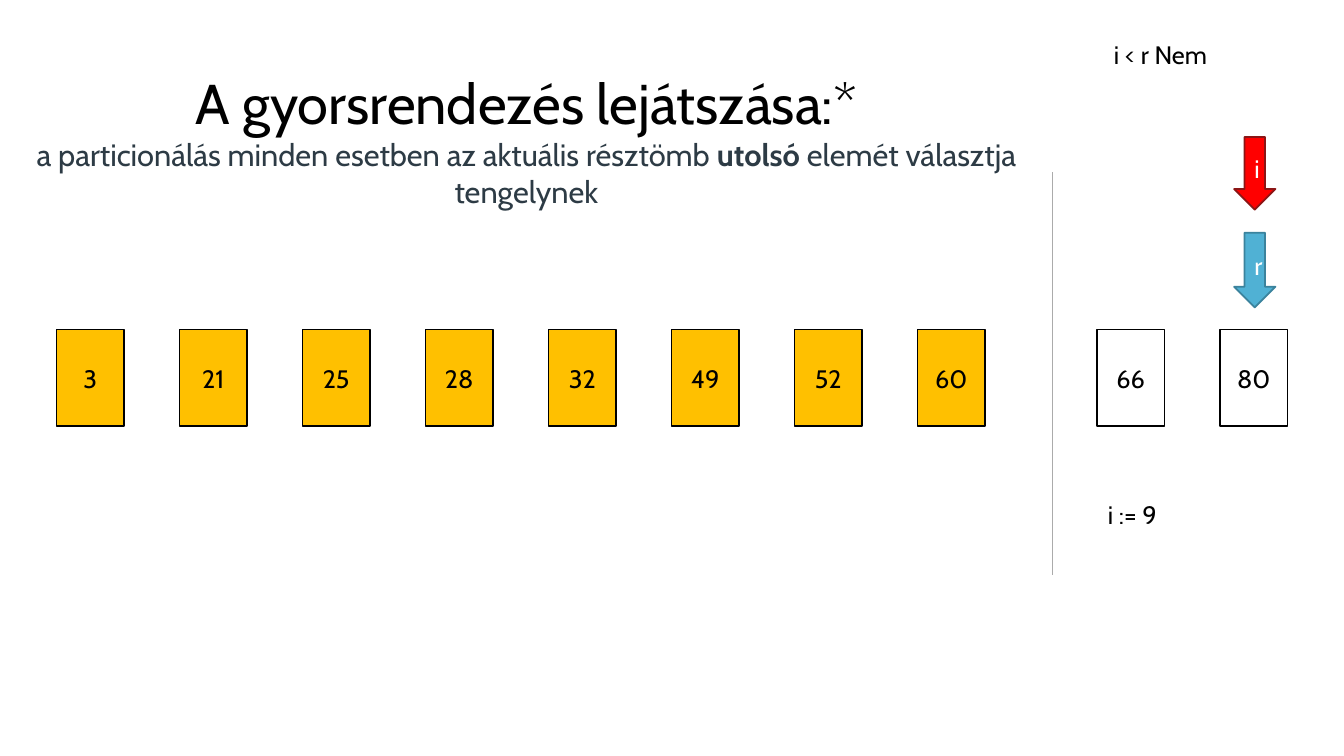
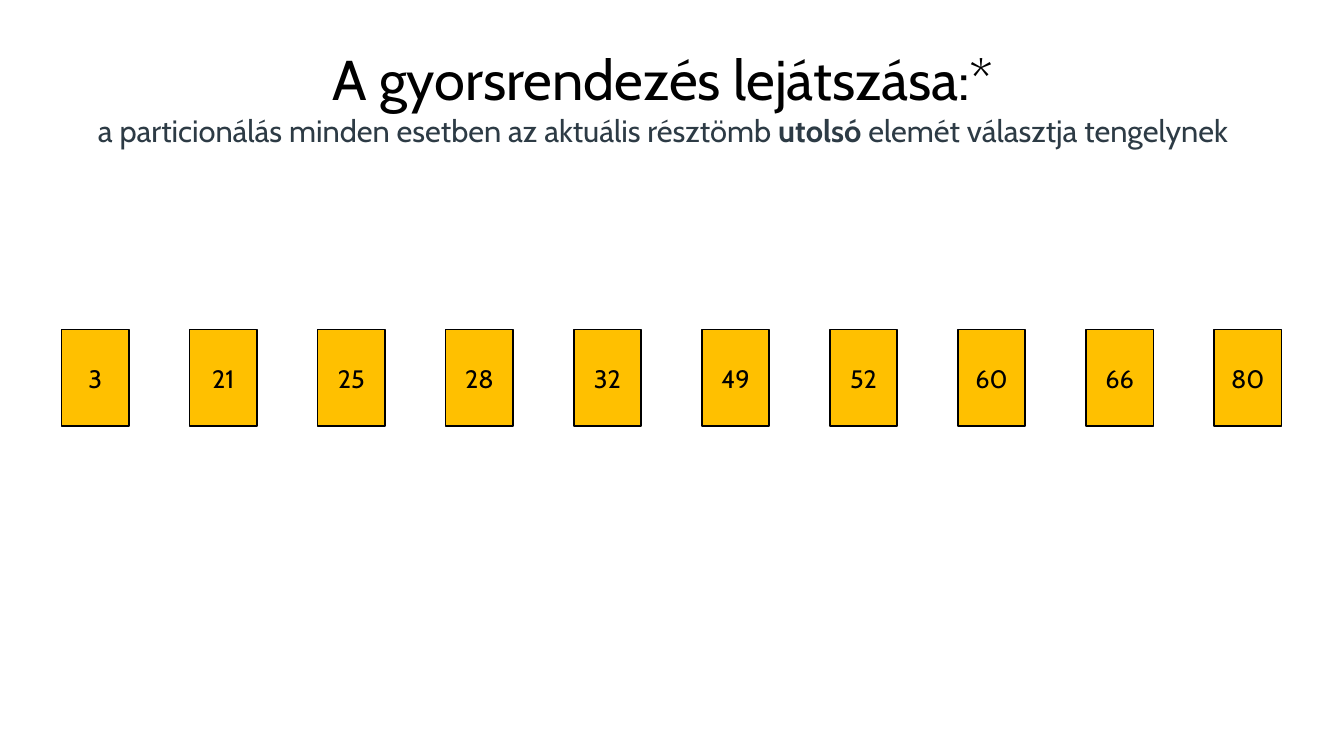
"""Build two slides that show the last steps of a quicksort run."""
from pptx import Presentation
from pptx.dml.color import RGBColor
from pptx.enum.shapes import MSO_CONNECTOR, MSO_SHAPE
from pptx.enum.text import MSO_ANCHOR, MSO_AUTO_SIZE, PP_ALIGN
from pptx.oxml.ns import qn
from pptx.util import Inches, Pt
from lxml import etree

FONT = "Cabin"
BLACK, WHITE, SORTED = "000000", "FFFFFF", "FFC000"
TITLE_RUNS = [
    ("A gyorsrendezés lejátszása:*", 40, BLACK, False),
    ("a particionálás minden esetben az aktuális résztömb ", 22, "2D3B45", False),
    ("utolsó", 22, "2D3B45", True),
    (" elemét választja tengelynek", 22, "2D3B45", False),
]
VALUES = [3, 21, 25, 28, 32, 49, 52, 60, 66, 80]


def style(r, size, color, bold=False):
    r.font.name = FONT
    r.font.size = Pt(size)
    r.font.bold = bold
    r.font.color.rgb = RGBColor.from_string(color)


def add_box(s, kind, box, text, fill, line, color):
    sp = s.shapes.add_shape(kind, *[Inches(v) for v in box])
    sp.shadow.inherit = False
    sp.fill.solid()
    sp.fill.fore_color.rgb = RGBColor.from_string(fill)
    sp.line.color.rgb = RGBColor.from_string(line)
    sp.line.width = Pt(1.25)
    tf = sp.text_frame
    tf.text = text
    tf.vertical_anchor = MSO_ANCHOR.MIDDLE
    p = tf.paragraphs[0]
    p.alignment = PP_ALIGN.CENTER
    style(p.runs[0], 18, color)


prs = Presentation()
prs.slide_width, prs.slide_height = Inches(13.33), Inches(7.5)

# title box, first cell, pitch, number of sorted cells, gap before the unsorted cells
slides = [
    ((0, 0.17, 10.44, 2.42), 0.56, 1.22, 8, 0.56),
    ((0.63, 0.18, 11.89, 1.56), 0.61, 1.27, 10, 0),
]
for title_box, first, pitch, done, gap in slides:
    s = prs.slides.add_slide(prs.slide_layouts[5])
    title = s.shapes.title
    title.left, title.top, title.width, title.height = [Inches(v) for v in title_box]
    tf = title.text_frame
    tf.word_wrap = True
    tf.auto_size = MSO_AUTO_SIZE.NONE
    tf.vertical_anchor = MSO_ANCHOR.MIDDLE
    p = tf.paragraphs[0]
    p.alignment = PP_ALIGN.CENTER
    for i, (text, size, color, bold) in enumerate(TITLE_RUNS):
        if i == 1:
            p.add_line_break()
        r = p.add_run()
        r.text = text
        style(r, size, color, bold)

    for i, value in enumerate(VALUES):
        left = first + i * pitch + (gap if i >= done else 0)
        fill = SORTED if i < done else WHITE
        add_box(s, MSO_SHAPE.RECTANGLE, (left, 3.27, 0.67, 0.96), str(value), fill, BLACK, BLACK)

s = prs.slides[0]
for text, top, height, fill, line in [
    ("r", 2.31, 0.74, "50B1D4", "3B839D"),
    ("i", 1.36, 0.72, "FF0000", "8B1515"),
]:
    add_box(s, MSO_SHAPE.DOWN_ARROW, (12.24, top, 0.41, height), text, fill, line, WHITE)

for text, left, top, width in [("i := 9", 10.89, 4.9, 1.61), ("i < r Nem", 10.95, 0.34, 2.1)]:
    sp = s.shapes.add_textbox(Inches(left), Inches(top), Inches(width), Inches(0.4))
    tf = sp.text_frame
    tf.word_wrap = True
    tf.text = text
    style(tf.paragraphs[0].runs[0], 18, BLACK)

divider = s.shapes.add_connector(
    MSO_CONNECTOR.STRAIGHT, Inches(10.44), Inches(1.71), Inches(10.44), Inches(5.7)
)
divider.line.color.rgb = RGBColor.from_string("ABABAB")
divider.line.width = Pt(0.75)
etree.SubElement(divider._element.spPr, qn("a:effectLst"))

prs.save("out.pptx")
